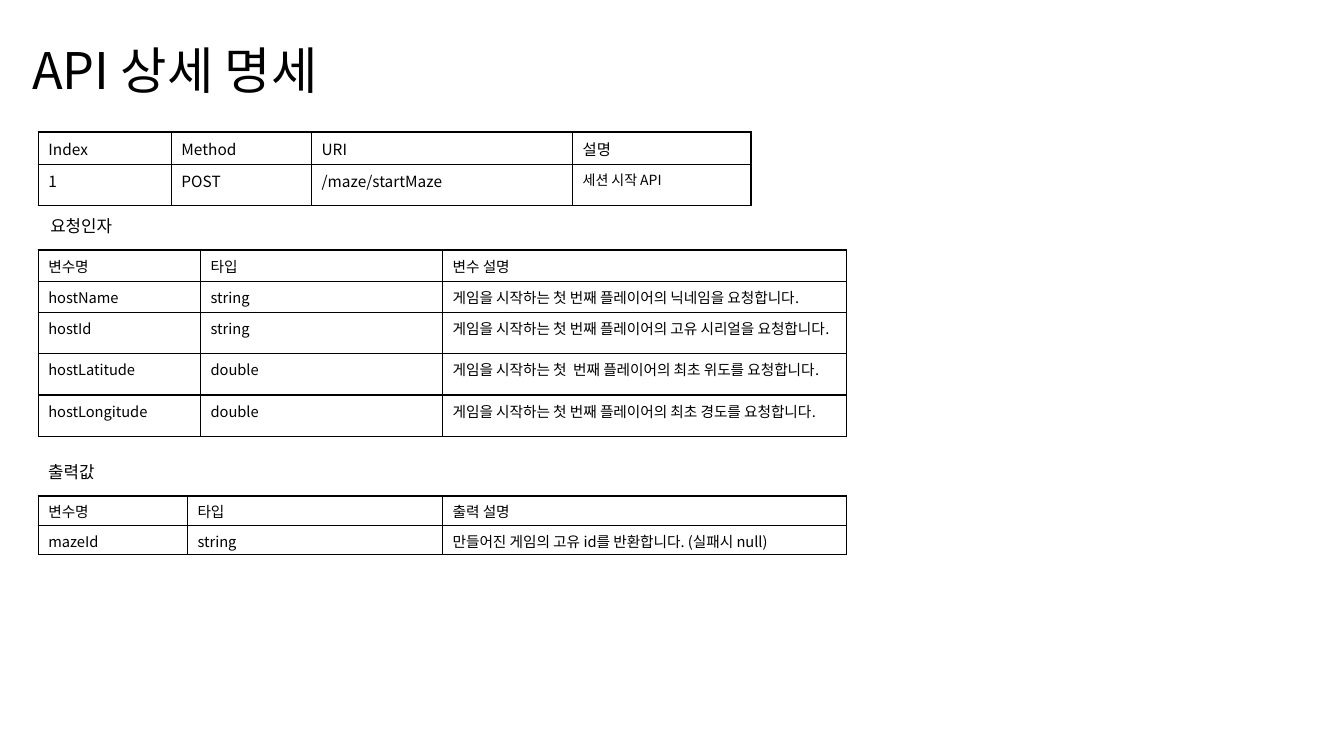
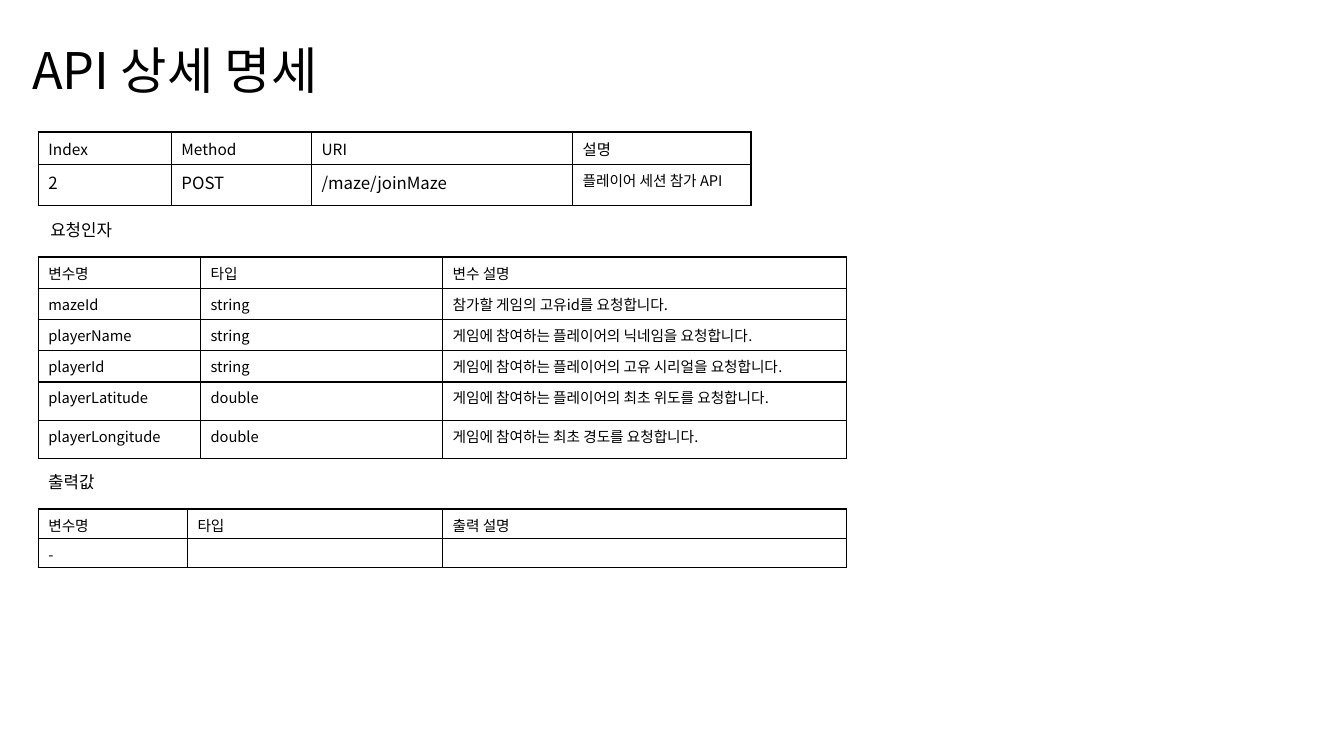
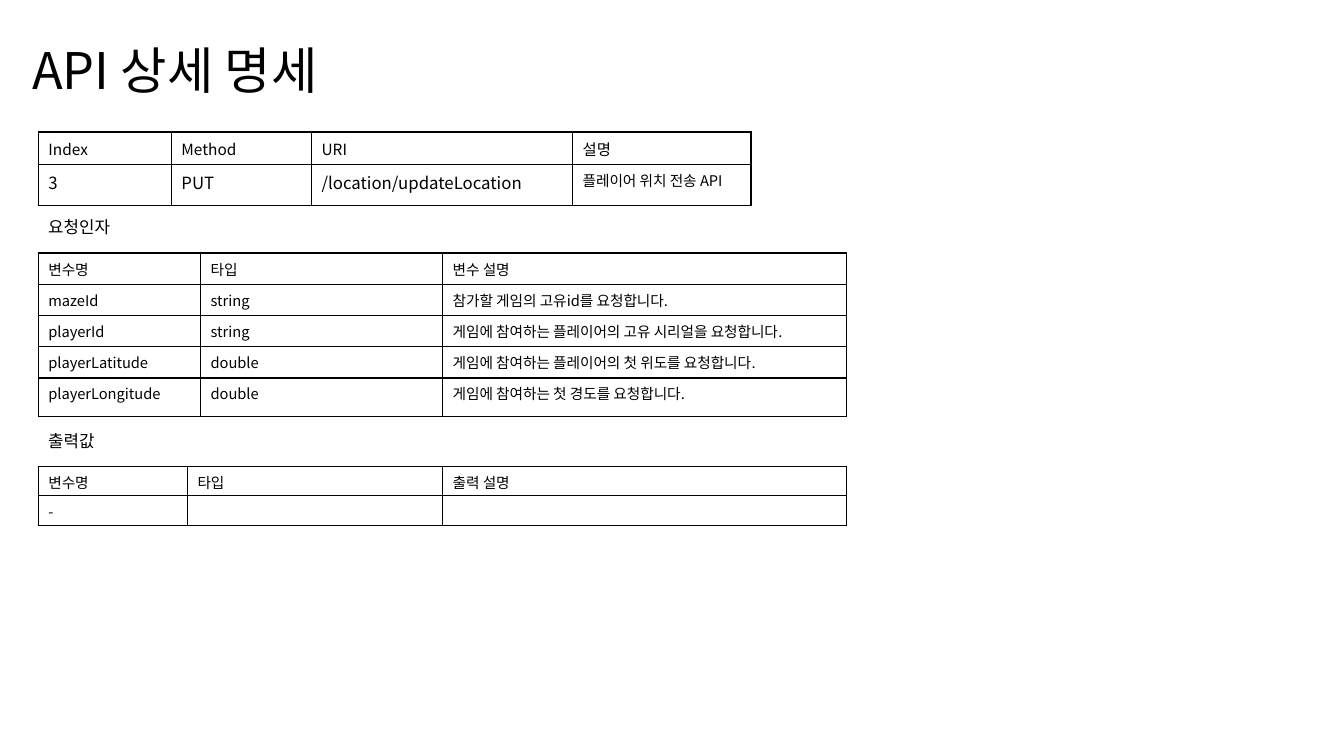
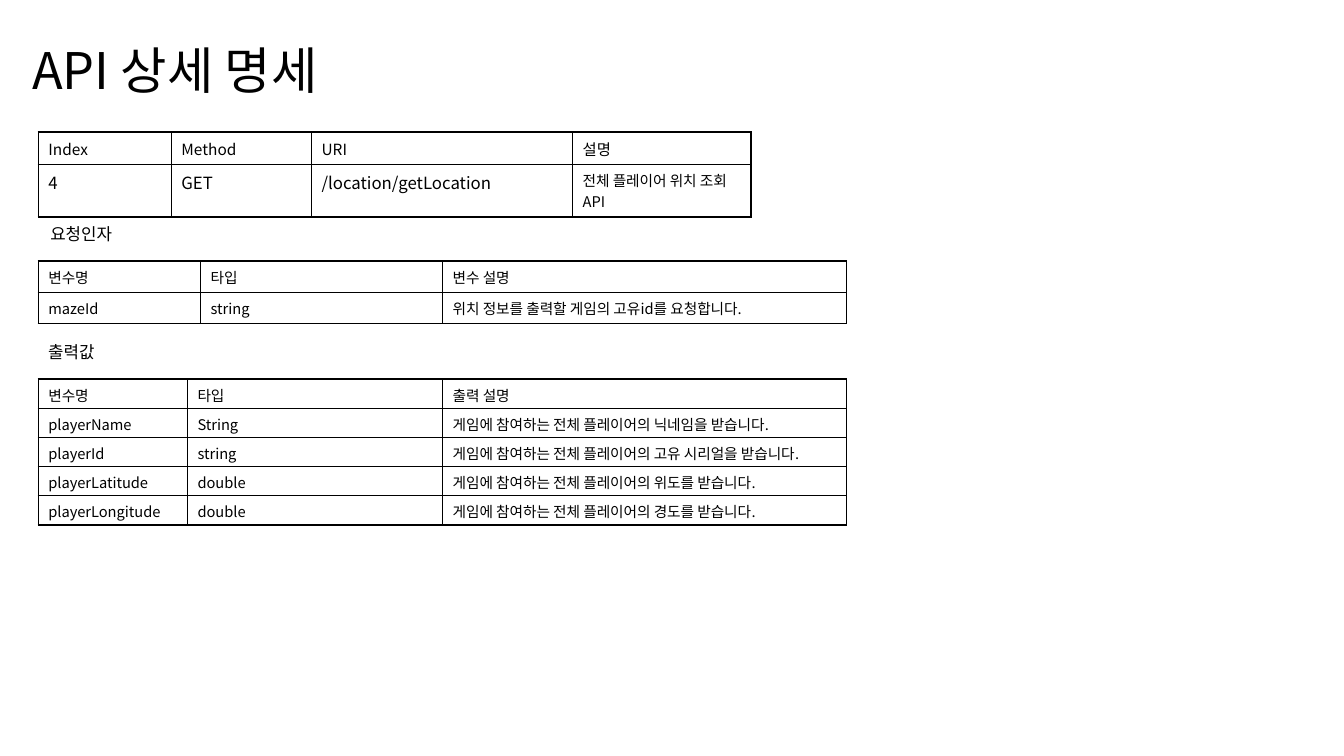
import pptx
import pptx.util
import pptx.dml.color
import pptx.enum.text
import pptx.oxml
import pptx.oxml.ns
import lxml.etree

SCALE = 9144
FONT = "Noto Sans CJK KR"
BLACK = "000000"
LEFT = 38
TITLE = "API 상세 명세"
HEAD = ["Index", "Method", "URI", "설명"]
HEAD_COLS = [132, 139, 259, 177]
ASK_COLS = [161, 240, 401]
OUT_COLS = [148, 253, 401]
ASK_HEAD = ["변수명", "타입", "변수 설명"]
OUT_HEAD = ["변수명", "타입", "출력 설명"]
MAZE = ["mazeId", "string", "참가할 게임의 고유id를 요청합니다."]
SERIAL = ["playerId", "string", "게임에 참여하는 플레이어의 고유 시리얼을 요청합니다."]
NONE = [["-", "", ""]]

CALLS = [
    {
        "call": ["1", "POST", "/maze/startMaze", "세션 시작 API"],
        "sizes": (11, 10),
        "ask_label": (40, 209), "ask_top": 248, "ask_rows": [31, 31, 41, 41, 41],
        "ask": [
            ["hostName", "string", "게임을 시작하는 첫 번째 플레이어의 닉네임을 요청합니다."],
            ["hostId", "string", "게임을 시작하는 첫 번째 플레이어의 고유 시리얼을 요청합니다."],
            ["hostLatitude", "double", "게임을 시작하는 첫  번째 플레이어의 최초 위도를 요청합니다."],
            ["hostLongitude", "double", "게임을 시작하는 첫 번째 플레이어의 최초 경도를 요청합니다."],
        ],
        "out_label": (38, 453), "out_top": 492,
        "out": [["mazeId", "string", "만들어진 게임의 고유 id를 반환합니다. (실패시 null)"]],
    },
    {
        "call": ["2", "POST", "/maze/joinMaze", "플레이어 세션 참가 API"],
        "sizes": (12, 10.5),
        "ask_label": (40, 213), "ask_top": 255, "ask_rows": [31, 31, 31, 31, 38, 38],
        "ask": [
            MAZE,
            ["playerName", "string", "게임에 참여하는 플레이어의 닉네임을 요청합니다."],
            SERIAL,
            ["playerLatitude", "double", "게임에 참여하는 플레이어의 최초 위도를 요청합니다."],
            ["playerLongitude", "double", "게임에 참여하는 최초 경도를 요청합니다."],
        ],
        "out_label": (38, 463), "out_top": 505, "out": NONE,
    },
    {
        "call": ["3", "PUT", "/location/updateLocation", "플레이어 위치 전송 API"],
        "sizes": (12, 10.5),
        "ask_label": (38, 210), "ask_top": 251, "ask_rows": [31, 31, 31, 31, 38],
        "ask": [
            MAZE,
            SERIAL,
            ["playerLatitude", "double", "게임에 참여하는 플레이어의 첫 위도를 요청합니다."],
            ["playerLongitude", "double", "게임에 참여하는 첫 경도를 요청합니다."],
        ],
        "out_label": (38, 422), "out_top": 463, "out": NONE,
    },
    {
        "call": ["4", "GET", "/location/getLocation", "전체 플레이어 위치 조회 API"],
        "sizes": (12, 10.5),
        "ask_label": (40, 217), "ask_top": 259, "ask_rows": [31, 31],
        "ask": [["mazeId", "string", "위치 정보를 출력할 게임의 고유id를 요청합니다."]],
        "out_label": (38, 334), "out_top": 376,
        "out": [
            ["playerName", "String", "게임에 참여하는 전체 플레이어의 닉네임을 받습니다."],
            ["playerId", "string", "게임에 참여하는 전체 플레이어의 고유 시리얼을 받습니다."],
            ["playerLatitude", "double", "게임에 참여하는 전체 플레이어의 위도를 받습니다."],
            ["playerLongitude", "double", "게임에 참여하는 전체 플레이어의 경도를 받습니다."],
        ],
    },
]


def px(length):
    """Turn px into EMU."""
    return pptx.util.Emu(length * SCALE)


def ink(color):
    """Turn a hex string into a colour."""
    return pptx.dml.color.RGBColor.from_string(color)


def add(parent, tag, **attrs):
    """Append an XML child with the given attributes."""
    return lxml.etree.SubElement(parent, pptx.oxml.ns.qn(tag), **attrs)


def write(frame, text, size):
    """Set the text of a frame and format it."""
    frame.text = text
    para = frame.paragraphs[0]
    para.alignment = pptx.enum.text.PP_ALIGN.LEFT
    if not text:
        add(para._p, "a:endParaRPr", sz=str(int(size * 100)))
    for run in para.runs:
        run.font.size = pptx.util.Pt(size)
        run.font.name = FONT
        run.font.color.rgb = ink(BLACK)
        add(run._r.get_or_add_rPr(), "a:ea", typeface=FONT)


def border(cell):
    """Draw a thin black line on each side of a cell."""
    props = cell._tc.get_or_add_tcPr()
    for side in ("a:lnL", "a:lnR", "a:lnT", "a:lnB"):
        line = add(props, side, w=str(pptx.util.Pt(1)))
        add(add(line, "a:solidFill"), "a:srgbClr", val=BLACK)


def title(slide):
    """Place and format the slide title."""
    shape = slide.shapes.title
    shape.left, shape.top, shape.width, shape.height = map(px, (22, 0, 1150, 145))
    write(shape.text_frame, TITLE, 36)
    shape.text_frame.vertical_anchor = pptx.enum.text.MSO_ANCHOR.MIDDLE
    shape.text_frame.paragraphs[0].line_spacing = 0.9


def label(slide, spot, width, text):
    """Add a heading above a table."""
    box = slide.shapes.add_textbox(*map(px, (*spot, width, 30)))
    write(box.text_frame, text, 12)
    box.text_frame.word_wrap = False
    box.text_frame.auto_size = pptx.enum.text.MSO_AUTO_SIZE.SHAPE_TO_FIT_TEXT


def grid(slide, top, cols, rows, data, size=lambda row, col: 10.5, base=5):
    """Add a plain ruled table; size gives the text size of each cell."""
    area = (LEFT, top, sum(cols), sum(rows))
    table = slide.shapes.add_table(len(rows), len(cols), *map(px, area)).table
    table.first_row = table.horz_banding = False
    for col, width in zip(table.columns, cols):
        col.width = px(width)
    for row, height in zip(table.rows, rows):
        row.height = px(height)
    for i, line in enumerate(data):
        for j, text in enumerate(line):
            cell = table.cell(i, j)
            write(cell.text_frame, text, size(i, j))
            cell.margin_bottom = px(base)
            border(cell)
            cell.fill.background()


def page(deck, call):
    """Add the slide for one API call."""
    slide = deck.slides.add_slide(deck.slide_layouts[5])
    title(slide)
    main_size, note_size = call["sizes"]

    def head_size(row, col):
        """Give the text size in the top table."""
        return 11 if row == 0 else note_size if col == 3 else main_size

    grid(slide, 131, HEAD_COLS, [32, 41], [HEAD, call["call"]], head_size)
    label(slide, call["ask_label"], 88, "요청인자")
    grid(slide, call["ask_top"], ASK_COLS, call["ask_rows"], [ASK_HEAD] + call["ask"])
    label(slide, call["out_label"], 71, "출력값")
    data = [OUT_HEAD] + call["out"]
    grid(slide, call["out_top"], OUT_COLS, [29] * len(data), data, base=2)


def main():
    """Build and save the deck."""
    deck = pptx.Presentation()
    deck.slide_width, deck.slide_height = px(1333), px(750)
    for call in CALLS:
        page(deck, call)
    deck.save("out.pptx")


if __name__ == "__main__":
    main()
